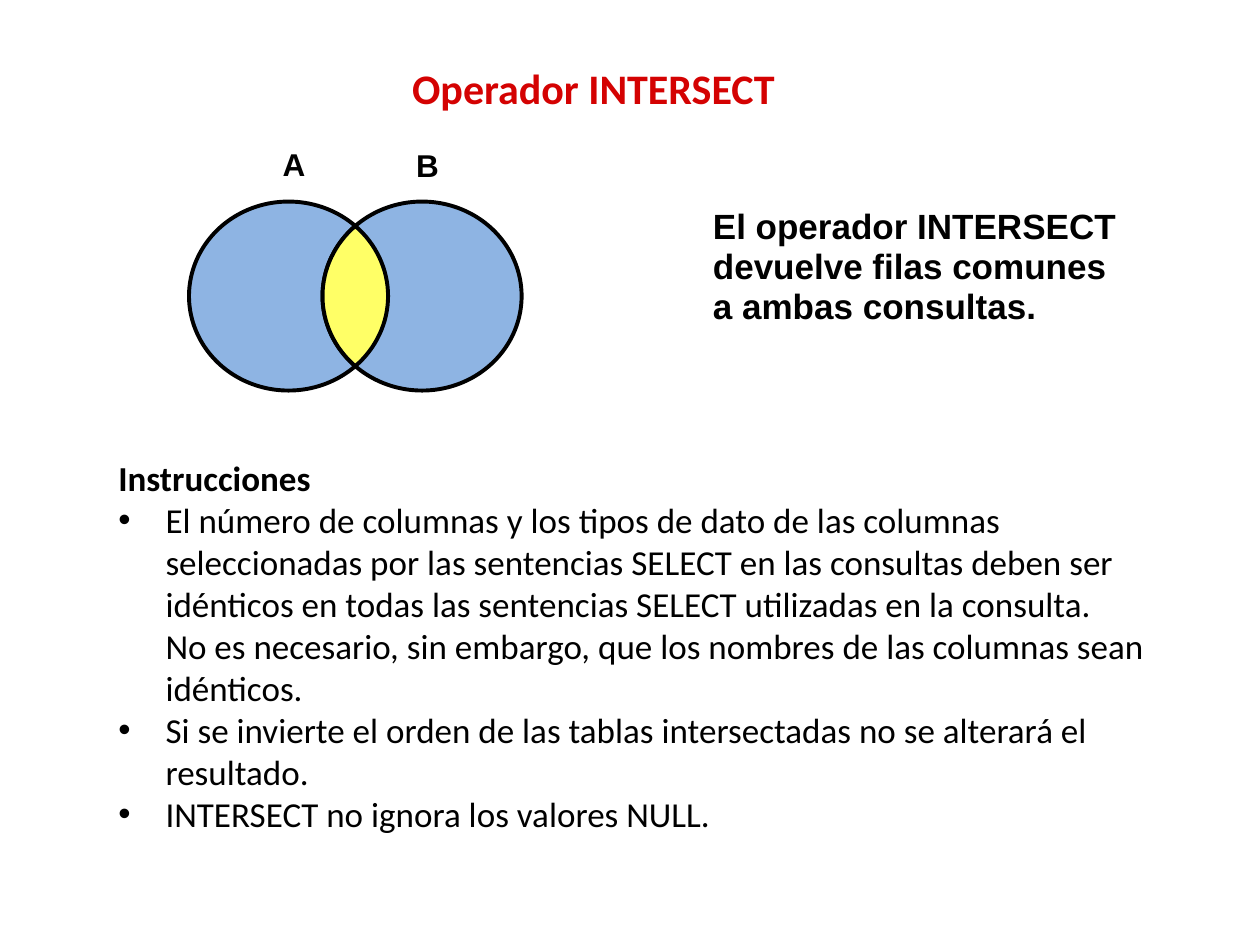
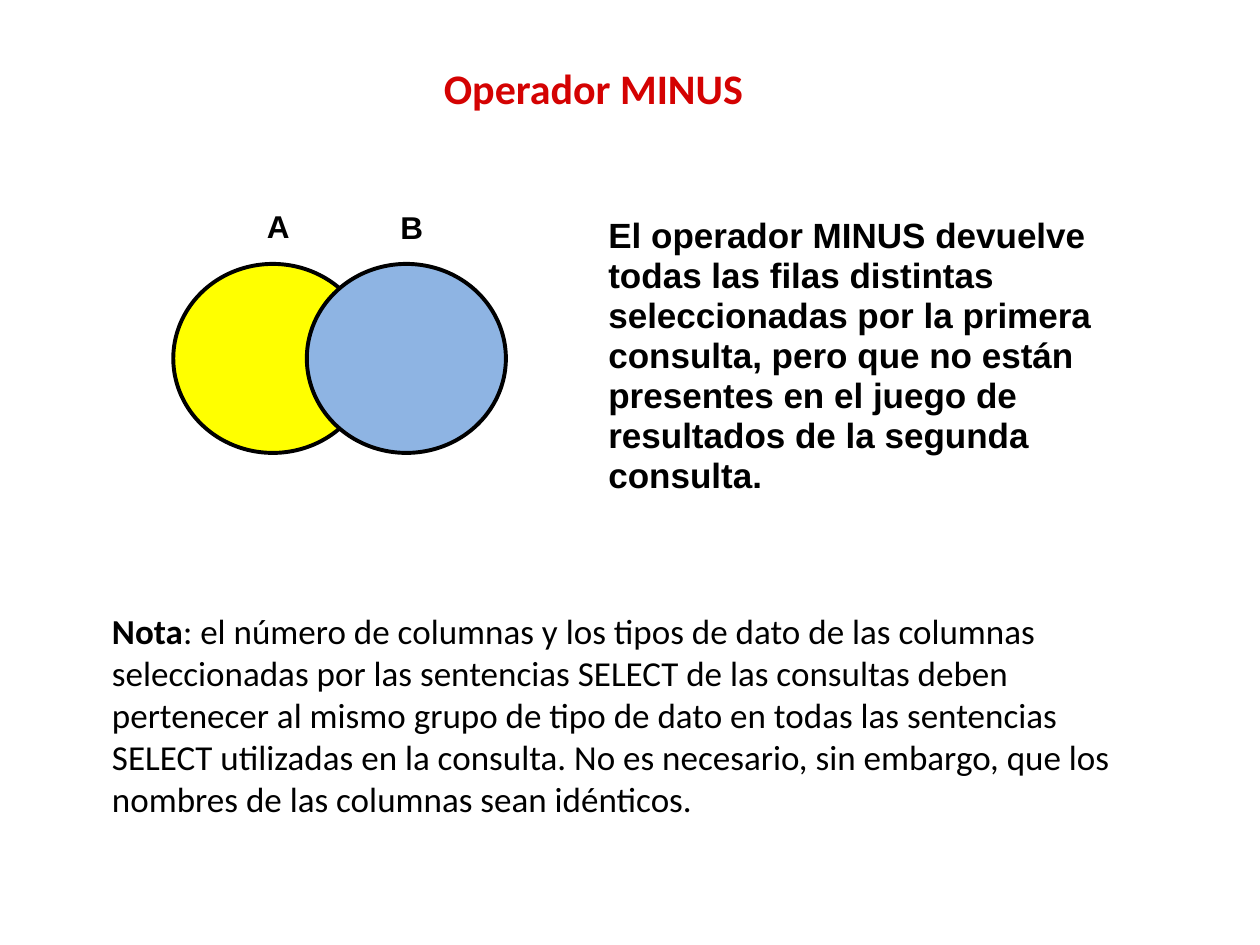
from math import acos, cos, pi, sin

from pptx import Presentation
from pptx.dml.color import RGBColor
from pptx.enum.shapes import MSO_SHAPE as Preset
from pptx.enum.text import MSO_ANCHOR as Anchor, MSO_AUTO_SIZE as AutoSize, PP_ALIGN as Align
from pptx.oxml.ns import qn
from pptx.util import Inches, Pt
from lxml.etree import SubElement

COLORS = {
    "title": "D40202",
    "text": "000000",
    "outline": "000000",
    "set": "8EB4E3",
    "common": "FFFF66",
    "difference": "FFFF00",
}
CELL = Inches(0.1)
COLUMNS, ROWS = 100, 75
SET_WIDTH, SET_HEIGHT, SET_STEP = 15.8, 15, 10.6
LABEL_WIDTH, LABEL_HEIGHT = 2.9, 4
HANGING = 3.75
ARC_STEPS = 32

INSTRUCTIONS = [
    "El número de columnas y los tipos de dato de las columnas seleccionadas por las "
    "sentencias SELECT en las consultas deben ser idénticos en todas las sentencias SELECT "
    "utilizadas en la consulta. \vNo es necesario, sin embargo, que los nombres de las "
    "columnas sean idénticos.",
    "Si se invierte el orden de las tablas intersectadas no se alterará el resultado.",
    "INTERSECT no ignora los valores NULL.",
]
NOTE = (
    ": el número de columnas y los tipos de dato de las columnas seleccionadas por las "
    "sentencias SELECT de las consultas deben pertenecer al mismo grupo de tipo de dato en "
    "todas las sentencias SELECT utilizadas en la consulta. No es necesario, sin embargo, "
    "que los nombres de las columnas sean idénticos."
)


def cells(*counts):
    """Turn counts of grid cells into lengths."""
    return [round(count * CELL) for count in counts]


def style(font, size, face, color="text", bold=False):
    """Format a font."""
    font.size, font.name, font.bold = Pt(size), face, bold
    font.color.rgb = RGBColor.from_string(COLORS[color])


def paint(shape, color):
    """Give a shape of the diagram its fill and outline."""
    shape.shadow.inherit = False
    shape.fill.solid()
    shape.fill.fore_color.rgb = RGBColor.from_string(COLORS[color])
    shape.line.color.rgb = RGBColor.from_string(COLORS["outline"])
    shape.line.width = Pt(2.25)


def add_titled_slide(deck, heading):
    """Add a slide with its centred title."""
    slide = deck.slides.add_slide(deck.slide_layouts[5])
    title = slide.shapes.title
    title.left, title.top, title.width, title.height = cells(3.3, 1.9, 87.6, 10.1)
    frame = title.text_frame
    frame.text = heading
    frame.vertical_anchor = Anchor.MIDDLE
    frame.auto_size = AutoSize.NONE
    paragraph = frame.paragraphs[0]
    paragraph.alignment = Align.CENTER
    style(paragraph.font, 24, "Calibri", "title", True)
    return slide


def add_frame(slide, left, top, width, height):
    """Add a wrapping text box and return its text frame."""
    frame = slide.shapes.add_textbox(*cells(left, top, width, height)).text_frame
    frame.word_wrap = True
    frame.auto_size = AutoSize.SHAPE_TO_FIT_TEXT
    return frame


def add_bold_text(slide, area, wording, size, spacing=None):
    """Add a bold paragraph in Arial."""
    paragraph = add_frame(slide, *area).paragraphs[0]
    paragraph.text = wording
    paragraph.line_spacing = spacing
    style(paragraph.font, size, "Arial", bold=True)


def add_set(slide, name, left, top, color, label_drop=0):
    """Add one set of the Venn diagram with its label above."""
    paint(slide.shapes.add_shape(Preset.OVAL, *cells(left, top, SET_WIDTH, SET_HEIGHT)), color)
    label_left = left + (SET_WIDTH - LABEL_WIDTH) / 2
    label_top = top - 5 + label_drop
    add_bold_text(slide, (label_left, label_top, LABEL_WIDTH, LABEL_HEIGHT), name, 18)


def add_venn(slide, left, top, first_color):
    """Add two overlapping sets, A and B."""
    add_set(slide, "A", left, top, first_color)
    add_set(slide, "B", left + SET_STEP, top, "set", 0.1)


def add_overlap(slide, left, top, color):
    """Add the lens common to both sets."""
    radius_x, radius_y = SET_WIDTH / 2, SET_HEIGHT / 2
    reach = acos(SET_STEP / SET_WIDTH)
    outline = []
    for center, start in ((left + radius_x, -reach), (left + radius_x + SET_STEP, pi - reach)):
        for step in range(ARC_STEPS):
            angle = start + 2 * reach * step / ARC_STEPS
            outline.append(cells(center + radius_x * cos(angle),
                                 top + radius_y * (1 + sin(angle))))
    builder = slide.shapes.build_freeform(*outline[0])
    builder.add_line_segments(outline[1:], close=True)
    paint(builder.convert_to_shape(), color)


def set_bullet(paragraph):
    """Give a paragraph a bullet and a hanging indent."""
    properties = paragraph._p.get_or_add_pPr()
    indent, = cells(HANGING)
    properties.set("marL", str(indent))
    properties.set("indent", str(-indent))
    SubElement(properties, qn("a:buFont"), typeface="Arial")
    SubElement(properties, qn("a:buChar"), char="•")


def add_instructions(slide, area, heading, items):
    """Add a bold heading and its bulleted list."""
    frame = add_frame(slide, *area)
    frame.text = heading
    style(frame.paragraphs[0].font, 20, "Calibri", bold=True)
    for item in items:
        paragraph = frame.add_paragraph()
        paragraph.text = item
        style(paragraph.font, 20, "Calibri")
        set_bullet(paragraph)


def add_note(slide, area, lead, rest):
    """Add a paragraph that opens with a bold word."""
    paragraph = add_frame(slide, *area).paragraphs[0]
    for wording, bold in ((lead, True), (rest, False)):
        run = paragraph.add_run()
        run.text = wording
        style(run.font, 20, "Calibri", bold=bold)


def add_intersect_slide(deck):
    """Build the slide on INTERSECT."""
    slide = add_titled_slide(deck, "Operador INTERSECT")
    add_venn(slide, 15, 16, "set")
    add_instructions(slide, (8.4, 35.7, 83.8, 31.3), "Instrucciones", INSTRUCTIONS)
    add_bold_text(slide, (55.6, 16, 35.3, 10.6),
                  "El operador INTERSECT devuelve filas comunes a ambas consultas.", 20, 0.95)
    add_overlap(slide, 15, 16, "common")


def add_minus_slide(deck):
    """Build the slide on MINUS."""
    slide = add_titled_slide(deck, "Operador MINUS")
    add_venn(slide, 13.75, 20.95, "difference")
    add_note(slide, (7.9, 47.9, 85.5, 17.8), "Nota", NOTE)
    add_bold_text(slide, (47.3, 16.7, 43.6, 23.4),
                  "El operador MINUS devuelve todas las filas distintas seleccionadas por la "
                  "primera consulta, pero que no están presentes en el juego de resultados de "
                  "la segunda consulta.", 20, 0.95)


def main():
    """Build and save the presentation."""
    deck = Presentation()
    deck.slide_width, deck.slide_height = cells(COLUMNS, ROWS)
    add_intersect_slide(deck)
    add_minus_slide(deck)
    deck.save("out.pptx")


main()
